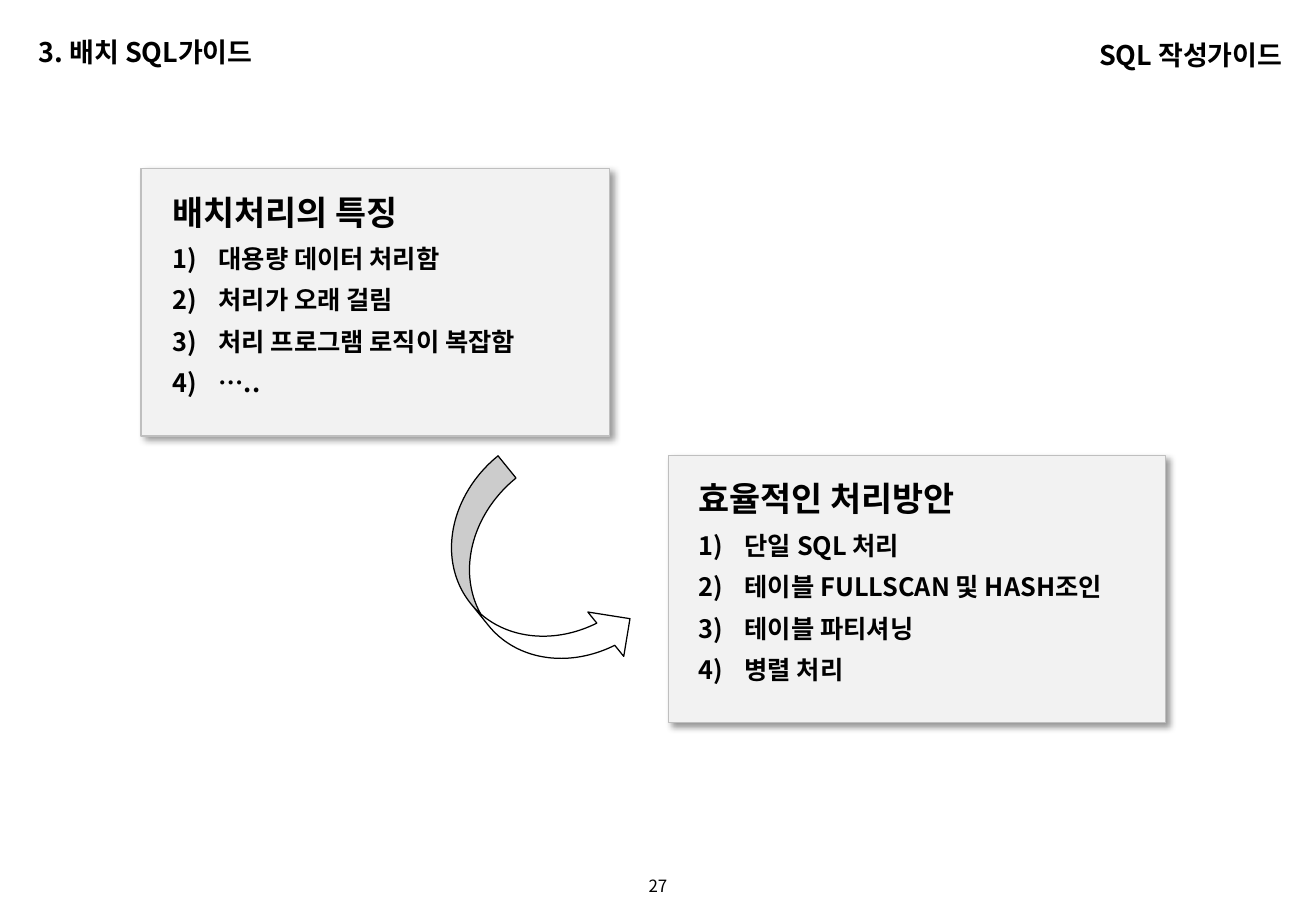
from dataclasses import dataclass

from lxml import etree
from pptx import Presentation
from pptx import util as u
from pptx.dml.color import RGBColor
from pptx.enum import shapes, text
from pptx.oxml import parse_xml
from pptx.oxml.ns import nsdecls, qn


@dataclass(frozen=True)
class Theme:
    font: str = "Noto Sans CJK KR"
    ink: str = "000000"
    paper: str = "FFFFFF"
    panel: str = "F2F2F2"
    edge: str = "BFBFBF"
    header: float = 16
    title: float = 20
    item: float = 15
    number: float = 10
    hairline: float = 0.75


@dataclass(frozen=True)
class Area:
    """Left, top, width and height in percent of the slide."""
    x: float
    y: float
    w: float
    h: float


@dataclass(frozen=True)
class Label:
    area: Area
    words: str
    align: text.PP_ALIGN


@dataclass(frozen=True)
class Panel:
    box: Area
    body: Area
    title: str
    items: tuple[str, ...]


THEME = Theme()
WIDTH, HEIGHT = u.Inches(10.83), u.Inches(7.5)
INDENT = u.Inches(0.38)

HEADERS = (
    Label(Area(75.07, 0.4, 23.27, 7.87), "SQL 작성가이드", text.PP_ALIGN.RIGHT),
    Label(Area(2.03, 0.13, 27.61, 7.87), "3. 배치 SQL가이드", text.PP_ALIGN.LEFT),
)
PAGE_NUMBER = Label(Area(46.35, 96.13, 7.29, 2.93), "27", text.PP_ALIGN.CENTER)
PANELS = (
    Panel(Area(10.71, 18.53, 35.64, 29.33), Area(12.19, 19.6, 31.39, 30.4),
          "배치처리의 특징",
          ("대용량 데이터 처리함", "처리가 오래 걸림", "처리 프로그램 로직이 복잡함", "…..")),
    Panel(Area(50.78, 50, 37.77, 29.33), Area(52.17, 51.07, 34.16, 25.6),
          "효율적인 처리방안",
          ("단일 SQL 처리", "테이블 FULLSCAN 및 HASH조인", "테이블 파티셔닝", "병렬 처리")),
)
ARROW = Area(35.83, 51.07, 8.68, 26.13)


def place(a: Area) -> tuple[int, int, int, int]:
    return (int(WIDTH * a.x / 100), int(HEIGHT * a.y / 100),
            int(WIDTH * a.w / 100), int(HEIGHT * a.h / 100))


def add_frame(s, area: Area, margins: tuple[float, float] = (0.1, 0.04)):
    tf = s.shapes.add_textbox(*place(area)).text_frame
    tf.word_wrap = True
    tf.margin_left = tf.margin_right = u.Inches(margins[0])
    tf.margin_top = tf.margin_bottom = u.Inches(margins[1])
    return tf


def write(p, words: str, size: float, bold: bool = True) -> None:
    r = p.add_run()
    r.text = words
    p.font.size, p.font.bold = u.Pt(size), bold
    p.font.name = THEME.font
    p.font.color.rgb = RGBColor.from_string(THEME.ink)
    # East Asian glyphs take their own typeface entry, on the run
    r.font.name = THEME.font
    etree.SubElement(r.font._element, qn("a:ea"), typeface=THEME.font)


def number_item(p) -> None:
    pPr = p._p.get_or_add_pPr()
    pPr.set("marL", str(INDENT))
    pPr.set("indent", str(-INDENT))
    bullet = parse_xml(f'<a:buAutoNum {nsdecls("a")} type="arabicParenR"/>')
    pPr.insert_element_before(bullet, "a:tabLst", "a:defRPr", "a:extLst")


def add_shape(s, kind: shapes.MSO_SHAPE, area: Area, fill: str, line: str):
    sp = s.shapes.add_shape(kind, *place(area))
    sp.shadow.inherit = False
    sp.fill.solid()
    sp.fill.fore_color.rgb = RGBColor.from_string(fill)
    sp.line.color.rgb = RGBColor.from_string(line)
    sp.line.width = u.Pt(THEME.hairline)
    return sp


def cast_shadow(sp) -> None:
    effects = sp._element.spPr.find(qn("a:effectLst"))
    effects.append(parse_xml(
        f'<a:outerShdw {nsdecls("a")} blurRad="{u.Pt(4)}" dist="{u.Pt(3)}" '
        f'dir="{45 * 60000}" algn="tl" rotWithShape="0">'
        f'<a:srgbClr val="{THEME.ink}"><a:alpha val="40000"/></a:srgbClr></a:outerShdw>'))


def add_header(s, label: Label) -> None:
    tf = add_frame(s, label.area)
    tf.vertical_anchor = text.MSO_ANCHOR.BOTTOM
    p = tf.paragraphs[0]
    p.alignment, p.line_spacing = label.align, 1.1
    write(p, label.words, THEME.header)


def add_panel(s, panel: Panel) -> None:
    cast_shadow(add_shape(s, shapes.MSO_SHAPE.RECTANGLE, panel.box, THEME.panel, THEME.edge))
    tf = add_frame(s, panel.body)
    for i, words in enumerate((panel.title, *panel.items)):
        p = tf.add_paragraph() if i else tf.paragraphs[0]
        size = THEME.item if i else THEME.title
        p.line_spacing, p.space_before = 1.2, u.Pt(size * 0.2)
        if i:
            number_item(p)
        write(p, words, size)


def main() -> None:
    prs = Presentation()
    prs.slide_width, prs.slide_height = WIDTH, HEIGHT
    s = prs.slides.add_slide(prs.slide_layouts[6])

    # Page number and headers
    p = add_frame(s, PAGE_NUMBER.area, (0, 0)).paragraphs[0]
    p.alignment = PAGE_NUMBER.align
    write(p, PAGE_NUMBER.words, THEME.number, bold=False)
    for label in HEADERS:
        add_header(s, label)

    # Panels and the arrow that leads from one to the other
    for panel in PANELS:
        add_panel(s, panel)
    arrow = add_shape(s, shapes.MSO_SHAPE.CURVED_RIGHT_ARROW, ARROW, THEME.paper, THEME.ink)
    arrow.rotation = 321

    prs.save("out.pptx")


if __name__ == "__main__":
    main()
